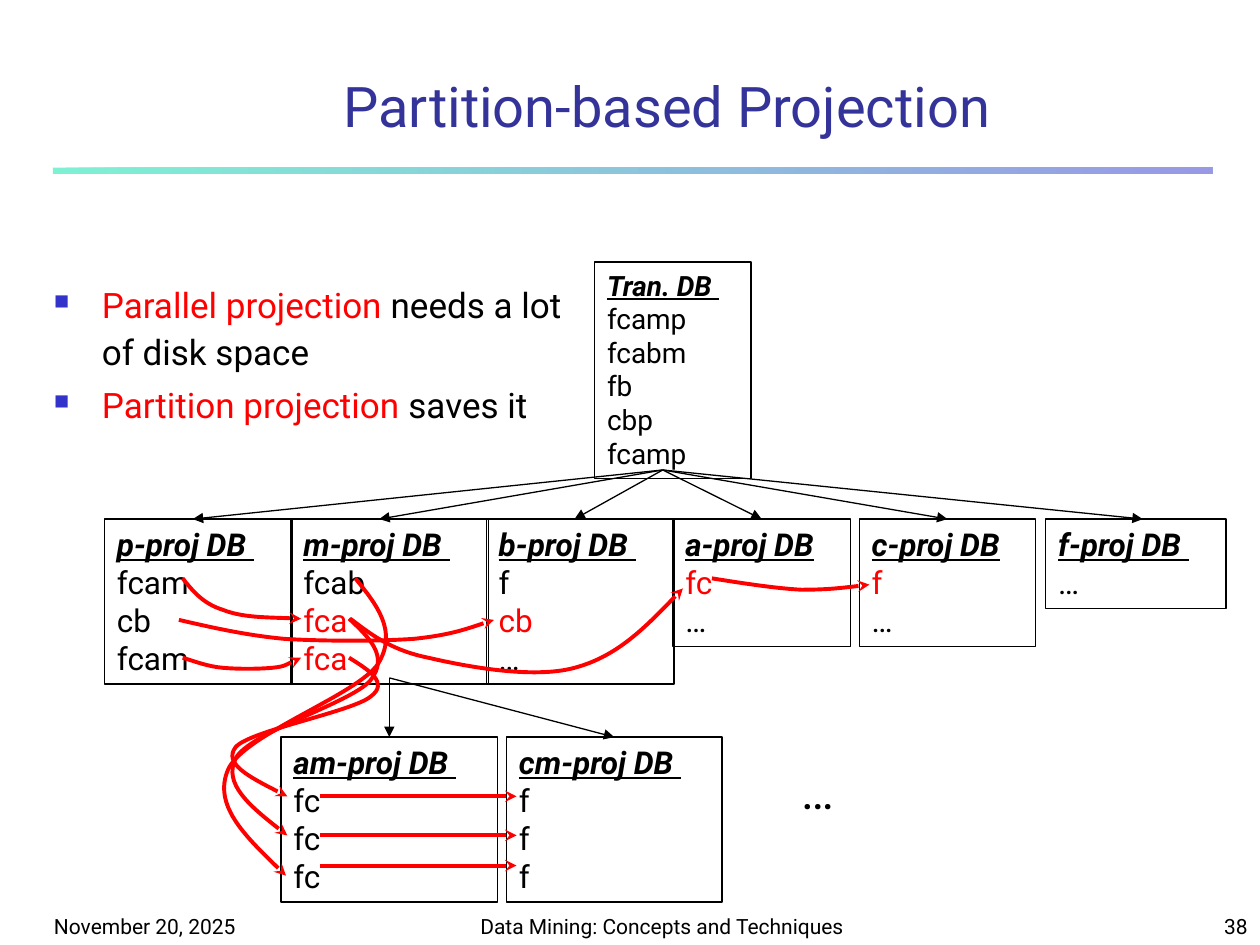
from lxml.etree import SubElement
from pptx import Presentation
from pptx.dml.color import RGBColor
from pptx.enum.shapes import MSO_CONNECTOR, MSO_SHAPE
from pptx.enum.text import MSO_ANCHOR, PP_ALIGN
from pptx.oxml.ns import qn
from pptx.util import Inches, Pt

BLACK = RGBColor(0, 0, 0)
RED = RGBColor(0xFF, 0, 0)
NAVY = RGBColor(0x33, 0x33, 0x99)
BLUE = RGBColor(0x33, 0x33, 0xCC)
GREEN = RGBColor(0x00, 0xE4, 0xA8)
FONT = "Roboto"

LABELS = [
    ("November 20, 2025", (0.33, 7.08, 2.08, 0.42), 12, BLACK, PP_ALIGN.LEFT, MSO_ANCHOR.BOTTOM),
    ("Data Mining: Concepts and Techniques", (3.67, 7.08, 3.17, 0.42), 12, BLACK,
     PP_ALIGN.CENTER, MSO_ANCHOR.BOTTOM),
    ("38", (7.92, 7.08, 2.08, 0.42), 12, BLACK, PP_ALIGN.RIGHT, MSO_ANCHOR.BOTTOM),
    ("Partition-based Projection", (1, 0.5, 8.59, 0.67), 32, NAVY, PP_ALIGN.CENTER, MSO_ANCHOR.MIDDLE),
    ("…", (6.26, 5.99, 0.52, 0.57), 28, BLACK, PP_ALIGN.LEFT, MSO_ANCHOR.TOP),
]
BULLETS = [
    ("Parallel projection ", "needs a lot of disk space"),
    ("Partition projection ", "saves it"),
]
TOP_ROW, LOWER_ROW = 4.12, 5.85
DATABASES = {
    "Tran. DB ": (4.72, 2.08, 1.24, 1.72, 16, ["fcamp", "fcabm", "fb", "cbp", "fcamp"], ()),
    "p-proj DB ": (0.83, TOP_ROW, 1.49, 1.31, 18, ["fcam", "cb", "fcam"], ()),
    "m-proj DB ": (2.31, TOP_ROW, 1.57, 1.31, 18, ["fcab", "fca", "fca"], (1, 2)),
    "b-proj DB ": (3.86, TOP_ROW, 1.49, 1.31, 18, ["f", "cb", "…"], (1,)),
    "a-proj DB": (5.34, TOP_ROW, 1.41, 1.01, 18, ["fc", "…"], (0,)),
    "c-proj DB": (6.82, TOP_ROW, 1.4, 1.01, 18, ["f", "…"], (0,)),
    "f-proj DB ": (8.3, TOP_ROW, 1.43, 0.71, 18, ["…"], ()),
    "am-proj DB ": (2.23, LOWER_ROW, 1.72, 1.31, 18, ["fc", "fc", "fc"], ()),
    "cm-proj DB ": (4.02, LOWER_ROW, 1.71, 1.31, 18, ["f", "f", "f"], ()),
}
FANS = [
    ((5.26, 3.73), TOP_ROW, {"p-proj DB ": 1.53, "m-proj DB ": 3.01, "b-proj DB ": 4.56,
                             "a-proj DB": 6.04, "c-proj DB": 7.52, "f-proj DB ": 9.07}),
    ((3.09, 5.38), LOWER_ROW, {"am-proj DB ": 3.09, "cm-proj DB ": 4.88}),
]
MOVE_LEVELS = [6.32, 6.63, 6.87]
CURVES = [
    [(1.45, 4.59), (1.53, 4.69), (1.61, 4.79), (1.77, 4.84), (1.92, 4.9), (2.16, 4.9), (2.39, 4.91)],
    [(2.78, 4.91), (2.94, 5.03), (3.1, 5.16), (3.4, 5.22), (3.7, 5.29), (4.23, 5.39), (4.56, 5.3),
     (4.9, 5.21), (5.16, 4.94), (5.42, 4.67)],
    [(5.65, 4.59), (5.9, 4.63), (6.16, 4.67), (6.36, 4.68), (6.57, 4.68), (6.73, 4.66), (6.9, 4.64)],
    [(1.45, 5.22), (1.55, 5.25), (1.65, 5.29), (1.77, 5.3), (1.88, 5.31), (2.05, 5.31), (2.16, 5.3),
     (2.26, 5.29), (2.32, 5.25), (2.39, 5.22)],
    [(2.77, 5.22), (2.93, 5.32), (3.09, 5.42), (2.94, 5.53), (2.79, 5.65), (1.98, 5.8), (1.87, 5.93),
     (1.77, 6.06), (2.02, 6.19), (2.28, 6.32)],
    [(2.77, 4.91), (2.93, 5.06), (3.09, 5.21), (2.94, 5.4), (2.79, 5.58), (1.98, 5.81), (1.87, 6.02),
     (1.77, 6.22), (2.02, 6.43), (2.28, 6.63)],
    [(2.82, 4.59), (2.99, 4.8), (3.16, 5.01), (3, 5.27), (2.83, 5.52), (1.93, 5.83), (1.81, 6.11),
     (1.69, 6.39), (1.98, 6.67), (2.27, 6.95)],
    [(1.42, 4.92), (1.68, 4.98), (1.94, 5.04), (2.25, 5.07), (2.56, 5.09), (3.01, 5.09), (3.29, 5.07),
     (3.57, 5.04), (3.74, 4.98), (3.92, 4.92)],
]

presentation = Presentation()
presentation.slide_width, presentation.slide_height = Inches(10), Inches(7.5)
slide = presentation.slides.add_slide(presentation.slide_layouts[6])
shapes = slide.shapes


def inches(values):
    return [Inches(value) for value in values]


def add_run(paragraph, text, size, color, **formats):
    run = paragraph.add_run()
    run.text = text
    for name, value in {"name": FONT, "size": Pt(size), **formats}.items():
        setattr(run.font, name, value)
    run.font.color.rgb = color


def next_paragraph(frame, index):
    return frame.add_paragraph() if index else frame.paragraphs[0]


def style_line(shape, color, width, arrow=None):
    shape.line.color.rgb = color
    shape.line.width = Pt(width)
    if arrow:
        SubElement(shape.line._get_or_add_ln(), qn("a:tailEnd"), type=arrow)


def add_rule():
    rule = shapes.add_shape(MSO_SHAPE.RECTANGLE, *inches((0.42, 1.33, 9.2, 0.05)))
    rule.shadow.inherit = False
    rule.line.fill.background()
    rule.fill.gradient()
    rule.fill.gradient_angle = 0
    for stop, color, position in zip(rule.fill.gradient_stops, (GREEN, BLUE), (0, 1)):
        stop.color.rgb = color
        stop.position = position
    for color_element in rule._element.spPr.iter(qn("a:srgbClr")):
        SubElement(color_element, qn("a:alpha"), val="50000")


def add_label(text, place, size, color, alignment, anchor):
    frame = shapes.add_textbox(*inches(place)).text_frame
    frame.word_wrap = True
    frame.vertical_anchor = anchor
    frame.paragraphs[0].alignment = alignment
    add_run(frame.paragraphs[0], text, size, color)


def add_bullets():
    frame = shapes.add_textbox(*inches((0.33, 2.17, 4.25, 1.75))).text_frame
    frame.word_wrap = True
    for index, (term, rest) in enumerate(BULLETS):
        paragraph = next_paragraph(frame, index)
        properties = paragraph._p.get_or_add_pPr()
        properties.set("marL", str(Inches(0.38)))
        properties.set("indent", str(-Inches(0.38)))
        bullet_color = SubElement(properties, qn("a:buClr"))
        SubElement(bullet_color, qn("a:srgbClr"), val=str(BLUE))
        SubElement(properties, qn("a:buSzPct"), val="60000")
        SubElement(properties, qn("a:buChar"), char="■")
        paragraph.line_spacing = 1.1
        if index:
            paragraph.space_before = Pt(4)
        add_run(paragraph, term, 20, RED)
        add_run(paragraph, rest, 20, BLACK)


def add_database(title, left, top, width, height, size, rows, red_rows):
    box = shapes.add_shape(MSO_SHAPE.RECTANGLE, *inches((left, top, width, height)))
    box.shadow.inherit = False
    box.fill.background()
    style_line(box, BLACK, 0.75)
    frame = box.text_frame
    frame.word_wrap = True
    frame.vertical_anchor = MSO_ANCHOR.TOP
    for index, text in enumerate([title, *rows]):
        paragraph = next_paragraph(frame, index)
        paragraph.alignment = PP_ALIGN.LEFT
        heading = {} if index else {"bold": True, "italic": True, "underline": True}
        add_run(paragraph, text, size, RED if index - 1 in red_rows else BLACK, **heading)
    return box


def add_arrow(start, end, color, width, arrow):
    connector = shapes.add_connector(MSO_CONNECTOR.STRAIGHT, *inches((*start, *end)))
    style_line(connector, color, width, arrow)
    SubElement(connector._element.spPr, qn("a:effectLst"))
    return connector


def add_curve(points):
    start, *others = [tuple(inches(point)) for point in points]
    builder = shapes.build_freeform(*start)
    builder.add_line_segments(others, close=False)
    curve = builder.convert_to_shape()
    segments = list(curve._element.iter(qn("a:lnTo")))
    for index in range(0, len(segments), 3):
        bezier = SubElement(segments[index].getparent(), qn("a:cubicBezTo"))
        for segment in segments[index:index + 3]:
            bezier.append(segment[0])
            segment.getparent().remove(segment)
    curve.shadow.inherit = False
    curve.fill.background()
    style_line(curve, RED, 2.25, "stealth")


add_rule()
for label in LABELS:
    add_label(*label)
add_bullets()
boxes = {title: add_database(title, *details) for title, details in DATABASES.items()}
for start, row, targets in FANS:
    for title, x in targets.items():
        box = boxes[title]
        connector = add_arrow(start, (x, row), BLACK, 0.75, "triangle")
        if abs(box.left + box.width / 2 - Inches(x)) < Inches(0.02):
            connector.end_connect(box, 0)
for level in MOVE_LEVELS:
    add_arrow((2.54, level), (4.1, level), RED, 2.25, "stealth")
for points in CURVES:
    add_curve(points)

presentation.save("out.pptx")
